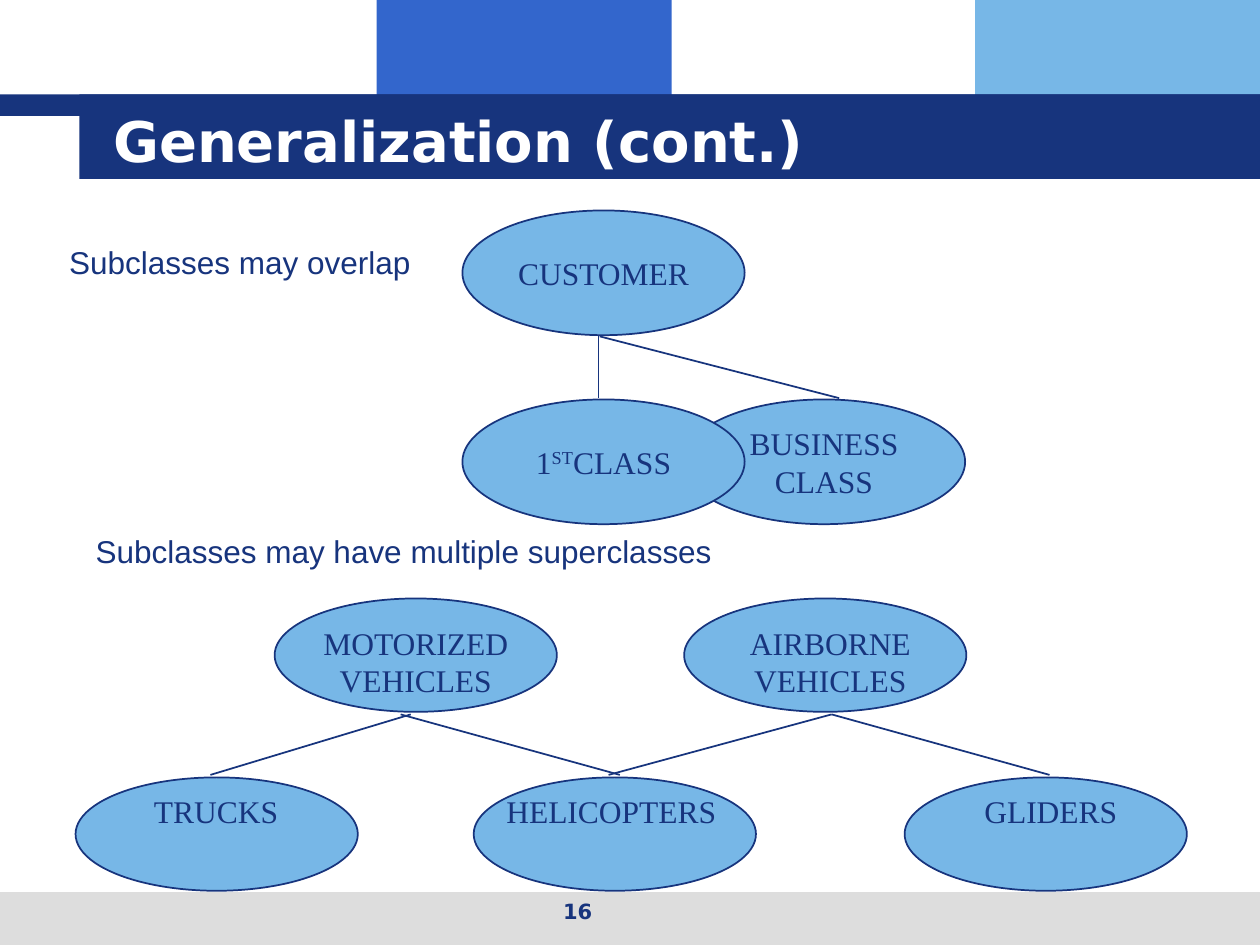
"""Build the slide on generalization with overlapping and shared subclasses."""
from dataclasses import dataclass

from lxml.etree import SubElement
from pptx import Presentation
from pptx.dml.color import RGBColor as RGB
from pptx.enum.shapes import MSO_CONNECTOR as CONNECTOR, MSO_SHAPE as SHAPE
from pptx.enum.text import MSO_ANCHOR as ANCHOR, PP_ALIGN as ALIGN
from pptx.oxml.ns import qn
from pptx.util import Inches, Pt


@dataclass(frozen=True)
class Theme:
    navy: RGB = RGB(0x17, 0x34, 0x7D)
    blue: RGB = RGB(0x33, 0x66, 0xCC)
    sky: RGB = RGB(0x77, 0xB7, 0xE7)
    gray: RGB = RGB(0xDD, 0xDD, 0xDD)
    white: RGB = RGB(0xFF, 0xFF, 0xFF)
    heading: str = "DejaVu Sans"
    body: str = "Arial"
    label: str = "Times New Roman"
    title_size: Pt = Pt(32)
    text_size: Pt = Pt(18)
    number_size: Pt = Pt(12)
    line: Pt = Pt(1)


theme = Theme()


def add_block(kind, box, fill, outline=None):
    block = slide.shapes.add_shape(kind, *map(Inches, box))
    block.shadow.inherit = False
    block.fill.solid()
    block.fill.fore_color.rgb = fill
    if outline is None:
        block.line.fill.background()
    else:
        block.line.color.rgb = outline
        block.line.width = theme.line
    return block


def write(frame, lines, font, size, color=theme.navy, align=ALIGN.CENTER, bold=False):
    frame.text = "\n".join(lines)
    for paragraph in frame.paragraphs:
        paragraph.alignment = align
        for run in paragraph.runs:
            run.font.name = font
            run.font.size = size
            run.font.bold = bold
            run.font.color.rgb = color


prs = Presentation()
prs.slide_width, prs.slide_height = Inches(10), Inches(7.5)
slide = prs.slides.add_slide(prs.slide_layouts[6])

for box, fill in [
    ((2.99, 0, 2.34, 0.92), theme.blue),
    ((7.74, 0, 2.26, 0.92), theme.sky),
    ((0, 7.08, 10, 0.42), theme.gray),
    ((0, 0.75, 10, 0.17), theme.navy),
    ((0.63, 0.75, 9.37, 0.67), theme.navy),
]:
    add_block(SHAPE.RECTANGLE, box, fill)

title = slide.shapes.add_textbox(*map(Inches, (0.8, 0.8, 8.53, 0.62))).text_frame
title.word_wrap = True
title.vertical_anchor = ANCHOR.MIDDLE
write(title, ["Generalization (cont.)"], theme.heading, theme.title_size,
      theme.white, ALIGN.LEFT, True)

for left, top, lines in [
    (3.67, 1.67, ["CUSTOMER"]),
    (5.42, 3.17, ["BUSINESS", "CLASS"]),
    (3.67, 3.17, ["1"]),
]:
    customer_class = add_block(SHAPE.OVAL, (left, top, 2.24, 0.99), theme.sky, theme.navy)
    class_name = customer_class.text_frame
    class_name.word_wrap = False
    class_name.vertical_anchor = ANCHOR.MIDDLE
    write(class_name, lines, theme.label, theme.text_size)

first_class = class_name.paragraphs[0]
for part, baseline in [("ST", "30000"), ("CLASS", "0")]:
    run = first_class.add_run()
    run.text = part
    run.font.name = theme.label
    run.font.size = theme.text_size
    run.font.color.rgb = theme.navy
    run.font._element.set("baseline", baseline)

for left, top in [(2.18, 4.75), (5.43, 4.75), (7.18, 6.17), (0.6, 6.17), (3.76, 6.17)]:
    add_block(SHAPE.OVAL, (left, top, 2.24, 0.9), theme.sky, theme.navy)

for box, wording, font, align in [
    ((0.45, 1.88, 8.68, 0.4), "Subclasses may overlap", theme.body, ALIGN.LEFT),
    ((0.66, 4.17, 8.18, 0.4), "Subclasses may have multiple superclasses", theme.body, ALIGN.LEFT),
    ((2.42, 4.9, 1.76, 0.7), "MOTORIZED VEHICLES", theme.label, ALIGN.CENTER),
    ((5.67, 4.9, 1.84, 0.7), "AIRBORNE VEHICLES", theme.label, ALIGN.CENTER),
    ((0.92, 6.24, 1.59, 0.4), "TRUCKS", theme.label, ALIGN.CENTER),
    ((3.92, 6.24, 2.01, 0.4), "HELICOPTERS", theme.label, ALIGN.LEFT),
    ((7.5, 6.24, 1.68, 0.4), "GLIDERS", theme.label, ALIGN.CENTER),
]:
    caption = slide.shapes.add_textbox(*map(Inches, box)).text_frame
    caption.word_wrap = True
    write(caption, [wording], font, theme.text_size, align=align)

for ends in [
    (4.75, 2.67, 4.75, 3.16),
    (4.76, 2.67, 6.66, 3.16),
    (3.26, 5.67, 1.67, 6.15),
    (3.18, 5.67, 4.92, 6.15),
    (6.6, 5.67, 4.83, 6.15),
    (6.6, 5.67, 8.33, 6.15),
]:
    branch = slide.shapes.add_connector(CONNECTOR.STRAIGHT, *map(Inches, ends))
    branch.line.color.rgb = theme.navy
    branch.line.width = theme.line
    SubElement(branch._element.spPr, qn("a:effectLst"))

page_number = slide.shapes.add_textbox(*map(Inches, (3.42, 7.08, 2.33, 0.35))).text_frame
page_number.word_wrap = True
write(page_number, ["16"], theme.heading, theme.number_size, bold=True)

prs.save("out.pptx")
